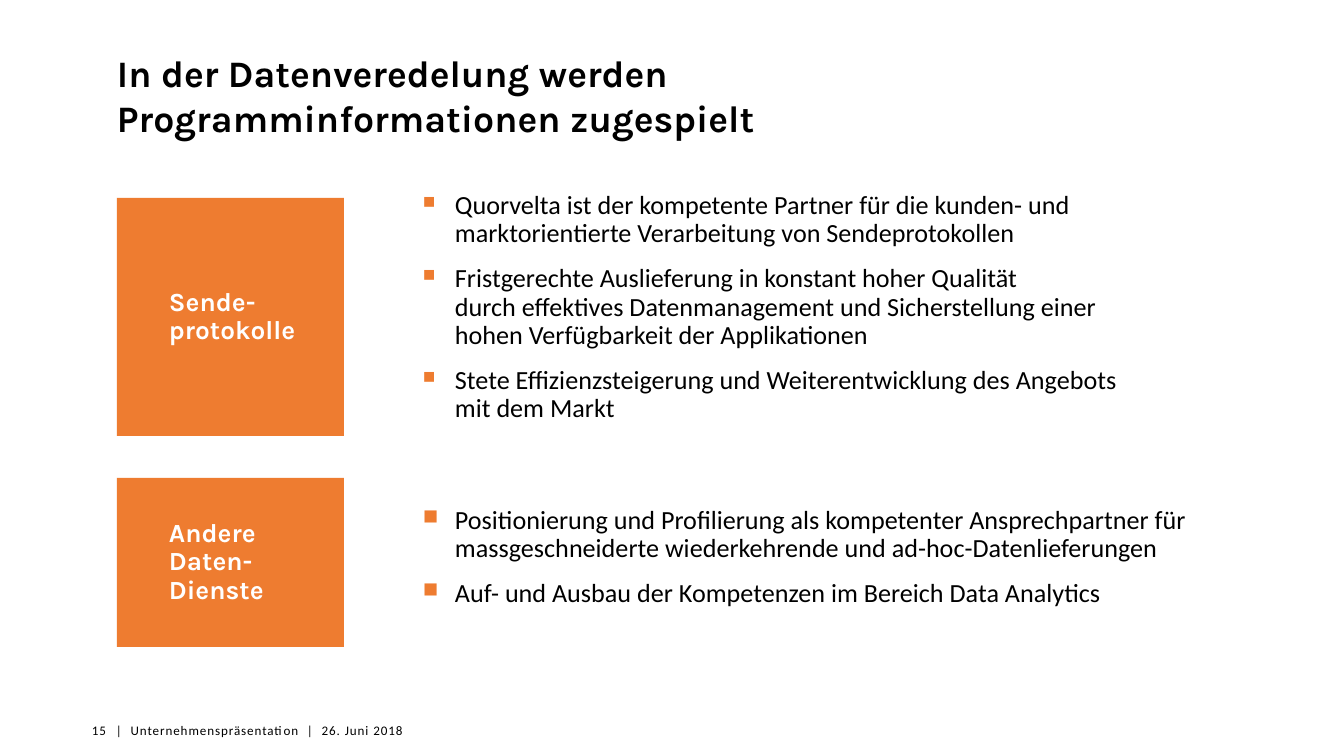
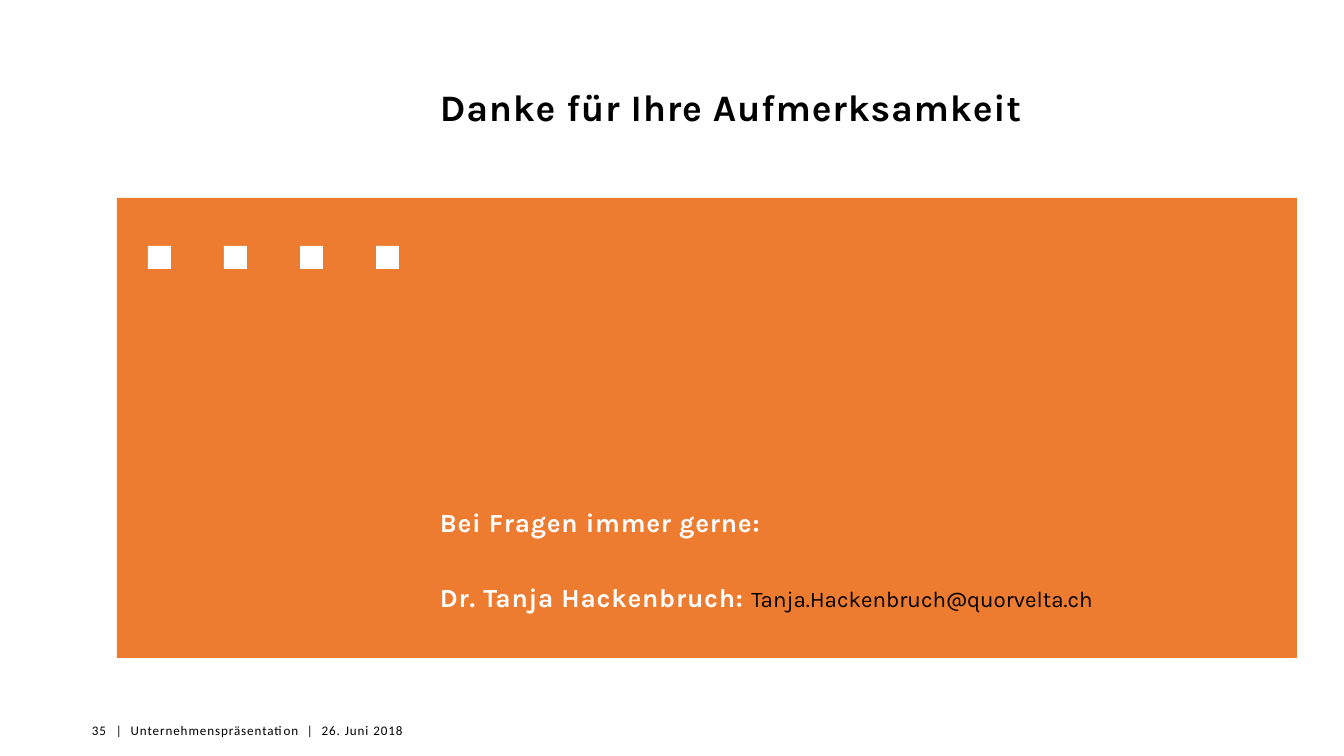
from lxml import etree
from pptx import Presentation
from pptx.dml.color import RGBColor
from pptx.enum.shapes import MSO_SHAPE
from pptx.enum.text import MSO_ANCHOR, PP_ALIGN
from pptx.oxml.ns import qn
from pptx.util import Emu, Pt

RECTANGLE = MSO_SHAPE.RECTANGLE
TOP, MIDDLE, BOTTOM = MSO_ANCHOR.TOP, MSO_ANCHOR.MIDDLE, MSO_ANCHOR.BOTTOM
LEFT, RIGHT = PP_ALIGN.LEFT, PP_ALIGN.RIGHT

ORANGE, WHITE, BLACK = "EE7C30", "FFFFFF", "000000"
HEADING_FONT, BODY_FONT = "Karla", "Calibri"

TITLE = dict(font=HEADING_FONT, size=20, bold=True)
LABEL = dict(font=HEADING_FONT, size=14, bold=True, color=WHITE)
BODY = dict(font=BODY_FONT, size=14)
FOOTER = dict(font=BODY_FONT, size=7, tracking=0.5)
CONTACT = dict(LABEL, tracking=0.4)
ADDRESS = dict(font=HEADING_FONT, size=12)

FOOTER_TEXT = "|  Unternehmenspräsentation  |  26. Juni 2018"

SERVICES_TITLE = "In der Datenveredelung werden\nProgramminformationen zugespielt"
SERVICES = [
    {
        "label": ["Sende-\nprotokolle"],
        "label_area": (117, 198, 227, 238),
        "points": [
            "Quorvelta ist der kompetente Partner für die kunden- und "
            "marktorientierte Verarbeitung von Sendeprotokollen",
            "Fristgerechte Auslieferung in konstant hoher Qualität\n"
            "durch effektives Datenmanagement und Sicherstellung einer "
            "hohen Verfügbarkeit der Applikationen",
            "Stete Effizienzsteigerung und Weiterentwicklung des Angebots\n"
            "mit dem Markt",
        ],
        "points_area": (423, 192, 741, 270),
        "bullet_percent": 65,
    },
    {
        "label": ["Andere", "Daten-\nDienste"],
        "label_area": (117, 478, 227, 169),
        "points": [
            "Positionierung und Profilierung als kompetenter Ansprechpartner für "
            "massgeschneiderte wiederkehrende und ad-hoc-Datenlieferungen",
            "Auf- und Ausbau der Kompetenzen im Bereich Data Analytics",
        ],
        "points_area": (423, 507, 825, 211),
        "bullet_percent": 80,
    },
]

THANKS_TITLE = "Danke für Ihre Aufmerksamkeit"
QUESTIONS = "Bei Fragen immer gerne:"
CONTACT_NAME = "Dr. Tanja Hackenbruch: "
CONTACT_ADDRESS = "Tanja.Hackenbruch@quorvelta.ch"

PAGE_WIDTH, PAGE_HEIGHT = 1344, 756
LABEL_INSET, BULLET_INDENT = 52, 32
SQUARE_COUNT, SQUARE_SIZE, SQUARE_PITCH = 4, 23, 76


def px(value):
    return Emu(round(value * 914400 / 134.4))


def rgb(value):
    return RGBColor.from_string(value)


def style_run(run, font, size, bold=False, color=BLACK, tracking=0):
    run.font.name = font
    run.font.size = Pt(size)
    run.font.bold = bold
    run.font.color.rgb = rgb(color)
    if tracking:
        run._r.get_or_add_rPr().set("spc", str(round(tracking * 100)))


def write(shape, texts, style, anchor=TOP, inset=0, line_spacing=1.0):
    frame = shape.text_frame
    frame.word_wrap = True
    frame.vertical_anchor = anchor
    frame.margin_left = px(inset)
    frame.margin_top = frame.margin_right = frame.margin_bottom = 0
    for index, text in enumerate(texts):
        para = frame.paragraphs[0] if index == 0 else frame.add_paragraph()
        para.text = text
        para.alignment = LEFT
        para.line_spacing = line_spacing
        for run in para.runs:
            style_run(run, **style)
    return frame


def add_text(page, area, texts, style, **layout):
    box = page.shapes.add_textbox(*map(px, area))
    return write(box, texts, style, **layout)


def add_block(page, area, color):
    block = page.shapes.add_shape(RECTANGLE, *map(px, area))
    block.shadow.inherit = False
    block.fill.solid()
    block.fill.fore_color.rgb = rgb(color)
    block.line.fill.background()
    return block


def add_bullet(para, percent):
    para.space_after = Pt(9)
    properties = para._p.get_or_add_pPr()
    properties.set("marL", str(px(BULLET_INDENT)))
    properties.set("indent", str(-px(BULLET_INDENT)))
    color = etree.SubElement(properties, qn("a:buClr"))
    etree.SubElement(color, qn("a:srgbClr"), val=ORANGE)
    etree.SubElement(properties, qn("a:buSzPct"), val=str(percent * 1000))
    etree.SubElement(properties, qn("a:buChar"), char="■")


def add_page(deck, number):
    page = deck.slides.add_slide(deck.slide_layouts[6])
    frame = add_text(page, (63, 722, 43, 16), [str(number)], FOOTER, anchor=BOTTOM)
    frame.paragraphs[0].alignment = RIGHT
    add_text(page, (116, 716, 466, 22), [FOOTER_TEXT], FOOTER, anchor=BOTTOM)
    return page


def build_services(deck):
    page = add_page(deck, 15)
    add_text(page, (117, 50, 1180, 47), [SERVICES_TITLE], TITLE)
    for service in SERVICES:
        block = add_block(page, service["label_area"], ORANGE)
        write(block, service["label"], LABEL, anchor=MIDDLE,
              inset=LABEL_INSET, line_spacing=0.9)
        frame = add_text(page, service["points_area"], service["points"], BODY,
                         line_spacing=0.9)
        for para in frame.paragraphs:
            add_bullet(para, service["bullet_percent"])


def build_thanks(deck):
    page = add_page(deck, 35)
    add_block(page, (117, 198, 1180, 460), ORANGE)
    for index in range(SQUARE_COUNT):
        left = 148 + index * SQUARE_PITCH
        add_block(page, (left, 246, SQUARE_SIZE, SQUARE_SIZE), WHITE)
    add_text(page, (440, 87, 879, 101), [THANKS_TITLE],
             dict(TITLE, tracking=0.4), line_spacing=0.95)
    frame = add_text(page, (440, 500, 857, 175), [QUESTIONS, CONTACT_NAME],
                     CONTACT, line_spacing=1.2)
    contact = frame.paragraphs[1]
    contact.space_before = Pt(20)
    span = contact.add_run()
    span.text = CONTACT_ADDRESS
    style_run(span, **ADDRESS)


def main():
    deck = Presentation()
    deck.slide_width, deck.slide_height = px(PAGE_WIDTH), px(PAGE_HEIGHT)
    build_services(deck)
    build_thanks(deck)
    deck.save("out.pptx")


if __name__ == "__main__":
    main()
